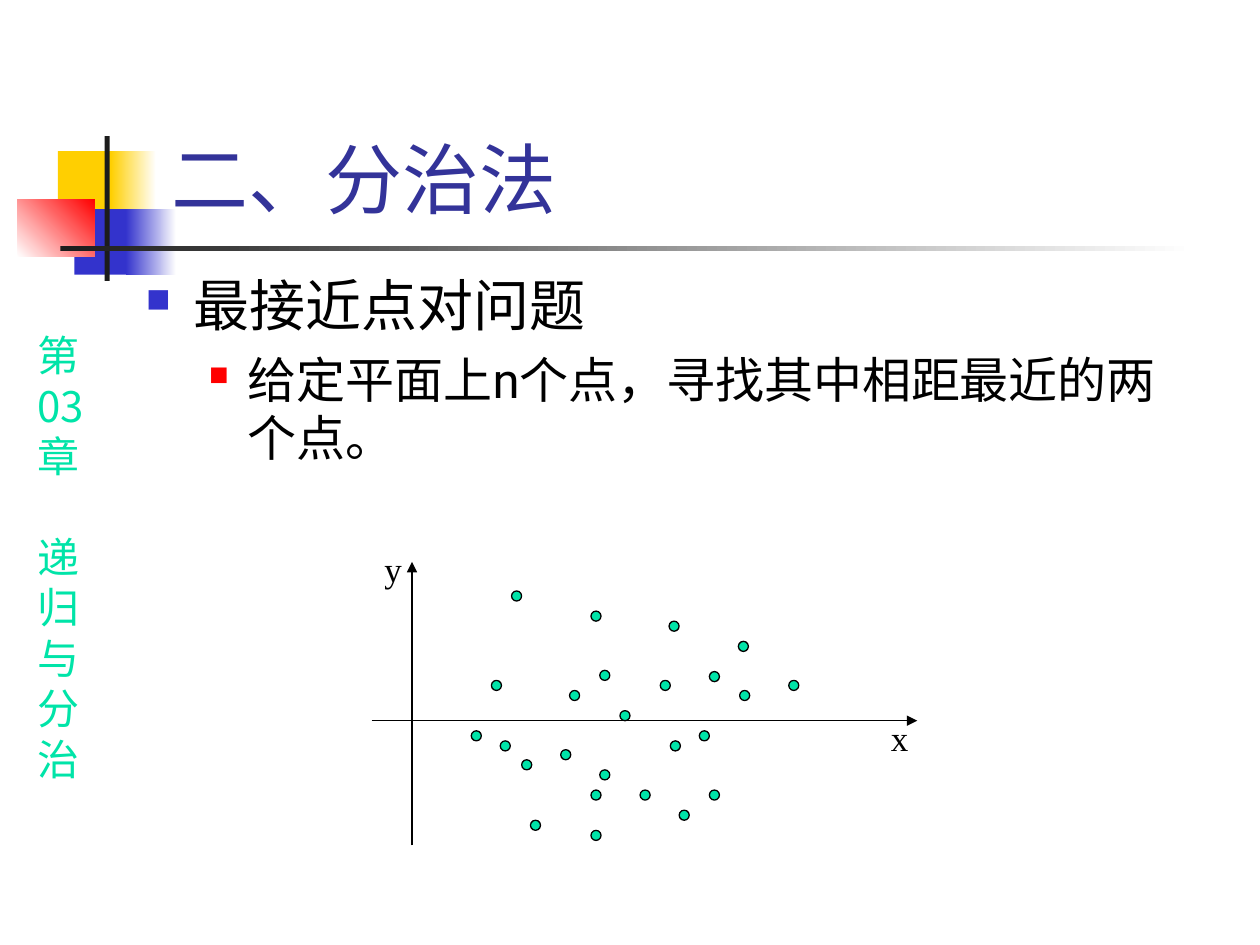
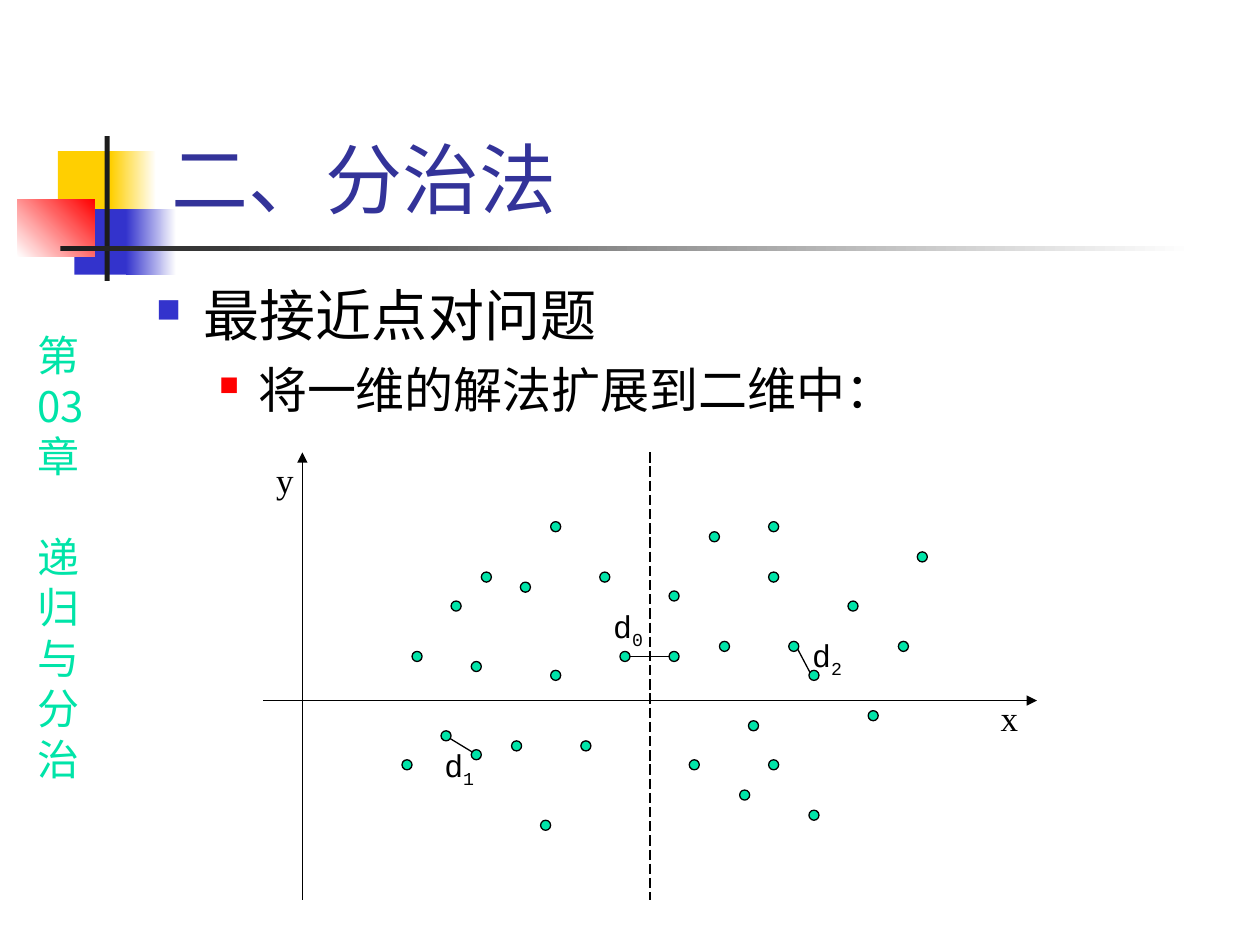
import lxml.etree
import pptx
import pptx.dml.color
import pptx.enum.dml
import pptx.enum.shapes
import pptx.enum.text
import pptx.oxml.ns
import pptx.util

Inches = pptx.util.Inches
Pt = pptx.util.Pt
Shape = pptx.enum.shapes.MSO_SHAPE
Align = pptx.enum.text.PP_ALIGN

BLACK, WHITE, INK = "000000", "FFFFFF", "1C1C1C"
YELLOW, BLUE, RED = "FFCF01", "3333CC", "FF0000"
TITLE_BLUE, GREEN = "333399", "00E4A8"
HEADING_FONT, CHINESE_FONT = "Roboto", "Noto Sans CJK JP"
AXIS_FONT, DISTANCE_FONT = "Times New Roman", "Courier New"
DOT_SIZE = 0.08

DECORATION = [
    ((0.46, 1.2, 0.48, 0.52), [YELLOW], 0),
    ((0.88, 1.2, 0.36, 0.52), [YELLOW, WHITE], 0),
    ((0.59, 1.66, 0.46, 0.52), [BLUE], 0),
    ((1, 1.66, 0.4, 0.52), [BLUE, WHITE], 0),
    ((0.14, 1.58, 0.61, 0.46), [WHITE, RED], 45),
    ((0.83, 1.08, 0.04, 1.15), [INK], 0),
    ((0.48, 1.95, 9, 0.04), [INK, WHITE], 0),
]

BULLETS = [
    {"size": 32, "line": 38.3, "before": 8, "color": BLUE, "percent": 60,
     "margin": 0.38, "hang": 0.38},
    {"size": 28, "line": 33.3, "before": 7, "color": RED, "percent": 55,
     "margin": 0.81, "hang": 0.31},
]

PLANE_POINTS = [
    (0.79, 1.34), (1.11, 0.23), (1.74, 0.39), (2.36, 0.47), (1.81, 0.86),
    (2.29, 0.94), (2.92, 1.02), (2.37, 1.42), (0.95, 0.94), (1.57, 1.02),
    (1.02, 1.42), (1.5, 1.49), (1.97, 1.18), (2.6, 1.34), (2.68, 1.81),
    (2.13, 1.81), (2.44, 1.97), (1.74, 1.81), (2.68, 0.87), (3.31, 0.94),
    (1.19, 1.57), (1.81, 1.65), (1.26, 2.05), (1.74, 2.13), (2.91, 0.63),
]

SPLIT_POINTS = [
    (2.67, 0.95), (1.97, 2.29), (2.28, 1.73), (2.52, 2.29), (2.28, 0.55),
    (1.18, 1.58), (2.04, 1.03), (1.41, 2.21), (1.1, 2.44), (2.83, 1.58),
    (1.65, 2.36), (1.65, 1.66), (1.49, 1.18), (1.73, 0.95), (2.2, 2.92),
    (3.22, 1.58), (4.01, 2.44), (4.64, 1.18), (4.8, 2.05), (4.33, 1.73),
    (4.01, 0.55), (5.19, 0.79), (4.01, 0.95), (5.04, 1.5), (3.38, 2.44),
    (3.85, 2.13), (3.78, 2.68), (4.33, 2.84), (3.54, 0.63), (3.22, 1.1),
    (3.62, 1.5), (4.17, 1.5),
]

DISTANCES = [
    ("1", (1.48, 2.27), (1.66, 2.38), (1.34, 2.28)),
    ("2", (4.24, 1.56), (4.34, 1.75), (4.26, 1.41)),
    ("0", (2.91, 1.62), (3.22, 1.62), (2.68, 1.18)),
]


def rgb(value):
    """Turn a hex string into a colour."""
    return pptx.dml.color.RGBColor.from_string(value)


def add_xml(parent, tag, **attributes):
    """Append a DrawingML element and return it."""
    return lxml.etree.SubElement(parent, pptx.oxml.ns.qn(tag), attributes)


def style_paragraph(paragraph, size, font, color, east_asian=None):
    """Set the font of a whole paragraph."""
    paragraph.font.size = Pt(size)
    paragraph.font.name = font
    paragraph.font.color.rgb = rgb(color)
    if east_asian:
        defaults = paragraph._p.pPr.find(pptx.oxml.ns.qn("a:defRPr"))
        add_xml(defaults, "a:ea", typeface=east_asian)


def add_text_box(shapes, left, top, width, height, wrap=False):
    """Add a text box and return its frame."""
    box = shapes.add_textbox(Inches(left), Inches(top), Inches(width), Inches(height))
    box.text_frame.word_wrap = wrap
    return box.text_frame


def add_plot_label(shapes, left, top, width):
    """Add a centred label without side margins and return its paragraph."""
    frame = add_text_box(shapes, left, top, width, 0.44)
    frame.margin_left = frame.margin_right = 0
    paragraph = frame.paragraphs[0]
    paragraph.alignment = Align.CENTER
    return paragraph


def add_filled_shape(shapes, kind, box, colors, angle=0, outline=None):
    """Add a flat or gradient shape."""
    shape = shapes.add_shape(kind, *map(Inches, box))
    shape.shadow.inherit = False
    if len(colors) == 1:
        shape.fill.solid()
        shape.fill.fore_color.rgb = rgb(colors[0])
    else:
        shape.fill.gradient()
        shape.fill.gradient_angle = angle
        for stop, color in zip(shape.fill.gradient_stops, colors):
            stop.color.rgb = rgb(color)
    if outline:
        shape.line.color.rgb = rgb(outline)
        shape.line.width = Pt(0.75)
    else:
        shape.line.fill.background()


def add_line(shapes, start, end, arrow=False, dashed=False):
    """Add a thin black line between two points."""
    line = shapes.add_connector(
        pptx.enum.shapes.MSO_CONNECTOR.STRAIGHT, *map(Inches, (*start, *end)))
    line.line.color.rgb = rgb(BLACK)
    line.line.width = Pt(0.75)
    if dashed:
        line.line.dash_style = pptx.enum.dml.MSO_LINE.LONG_DASH
    if arrow:
        add_xml(line.line._get_or_add_ln(), "a:tailEnd", type="triangle")
    add_xml(line._element.spPr, "a:effectLst")


def add_chapter_label(page, left, top):
    """Write the chapter name vertically at the left edge."""
    frame = add_text_box(page.shapes, left, top, 0.58, 3.7)
    for index, word in enumerate(["第", "03", "章", "递", "归", "与", "分", "治"]):
        paragraph = frame.add_paragraph() if index else frame.paragraphs[0]
        paragraph.text = word
        paragraph.line_spacing = Pt(28.8)
        if word == "递":
            paragraph.space_before = Pt(28.8)
        style_paragraph(paragraph, 24, CHINESE_FONT, GREEN, CHINESE_FONT)


def add_title(page, text):
    """Move, fill and format the title placeholder."""
    title = page.shapes.title
    title.left, title.top = Inches(1.26), Inches(0.23)
    title.width, title.height = Inches(8.52), Inches(1.6)
    frame = title.text_frame
    frame.text = text
    frame.auto_size = pptx.enum.text.MSO_AUTO_SIZE.NONE
    frame.vertical_anchor = pptx.enum.text.MSO_ANCHOR.BOTTOM
    paragraph = frame.paragraphs[0]
    paragraph.alignment = Align.LEFT
    style_paragraph(paragraph, 44, HEADING_FONT, TITLE_BLUE, CHINESE_FONT)


def add_body(page, box, texts):
    """Write one bulleted paragraph for each level."""
    frame = add_text_box(page.shapes, *box, wrap=True)
    for level, (text, look) in enumerate(zip(texts, BULLETS)):
        paragraph = frame.add_paragraph() if level else frame.paragraphs[0]
        paragraph.text = text
        paragraph.level = level
        paragraph.space_before = Pt(look["before"])
        paragraph.line_spacing = Pt(look["line"])
        properties = paragraph._p.get_or_add_pPr()
        properties.set("marL", str(Inches(look["margin"])))
        properties.set("indent", str(-Inches(look["hang"])))
        add_xml(add_xml(properties, "a:buClr"), "a:srgbClr", val=look["color"])
        add_xml(properties, "a:buSzPct", val=str(look["percent"] * 1000))
        add_xml(properties, "a:buChar", char="■")
        style_paragraph(paragraph, look["size"], HEADING_FONT, BLACK, CHINESE_FONT)


def add_axes(shapes, box, origin, x_label, y_label):
    """Draw two labelled arrows that cross at the origin."""
    left, top, width, height = box
    across, down = left + origin[0], top + origin[1]
    add_line(shapes, (left, down), (left + width, down), arrow=True)
    add_line(shapes, (across, top + height), (across, top), arrow=True)
    for name, (x, y) in (("x", x_label), ("y", y_label)):
        paragraph = add_plot_label(shapes, left + x, top + y, 0.34)
        paragraph.text = name
        paragraph.space_before = Pt(5)
        style_paragraph(paragraph, 20, AXIS_FONT, BLACK)


def add_points(shapes, box, points):
    """Scatter green dots inside the box."""
    for x, y in points:
        dot = (box[0] + x, box[1] + y, DOT_SIZE, DOT_SIZE)
        add_filled_shape(shapes, Shape.OVAL, dot, [GREEN], outline=BLACK)


def add_distances(shapes, box, distances):
    """Join the closest pairs and label their distances."""
    def place(point):
        return box[0] + point[0], box[1] + point[1]

    for _, start, end, _ in distances:
        add_line(shapes, place(start), place(end))
    for subscript, _, _, corner in distances:
        paragraph = add_plot_label(shapes, *place(corner), 0.43)
        for text in ("d", subscript):
            span = paragraph.add_run()
            span.text = text
        span._r.get_or_add_rPr().set("baseline", "-25000")
        style_paragraph(paragraph, 18, DISTANCE_FONT, BLACK)


def add_page(deck, body_box, body_texts):
    """Add a page with the shared decoration, title and body."""
    page = deck.slides.add_slide(deck.slide_layouts[5])
    for box, colors, angle in DECORATION:
        add_filled_shape(page.shapes, Shape.RECTANGLE, box, colors, angle)
    add_chapter_label(page, 0.2, 2.57)
    add_title(page, "二、分治法")
    add_body(page, body_box, ["最接近点对问题", *body_texts])
    return page


def add_plane_page(deck):
    """Show the points scattered in the plane."""
    page = add_page(deck, (1.06, 2.1, 8.43, 1.89),
                    ["给定平面上n个点，寻找其中相距最近的两个点。"])
    plot = page.shapes.add_group_shape().shapes
    box = (2.95, 4.46, 4.33, 2.25)
    add_axes(plot, box, (0.32, 1.26), (4.02, 1.18), (0, -0.16))
    add_points(plot, box, PLANE_POINTS)


def add_split_page(deck):
    """Show the plane split in two, with the closest pairs."""
    page = add_page(deck, (1.14, 2.18, 8.35, 1.34), ["将一维的解法扩展到二维中："])
    plot = page.shapes.add_group_shape().shapes
    box = left, top, width, height = (2.09, 3.59, 6.14, 3.55)
    add_axes(plot, box, (0.31, 1.97), (5.75, 1.89), (0, 0))
    middle = left + width / 2
    add_line(plot, (middle, top), (middle, top + height), dashed=True)
    add_points(plot, box, SPLIT_POINTS)
    add_distances(plot, box, DISTANCES)


def main():
    """Build and save the deck."""
    deck = pptx.Presentation()
    deck.slide_width, deck.slide_height = Inches(10), Inches(7.5)
    add_plane_page(deck)
    add_split_page(deck)
    deck.save("out.pptx")


if __name__ == "__main__":
    main()
